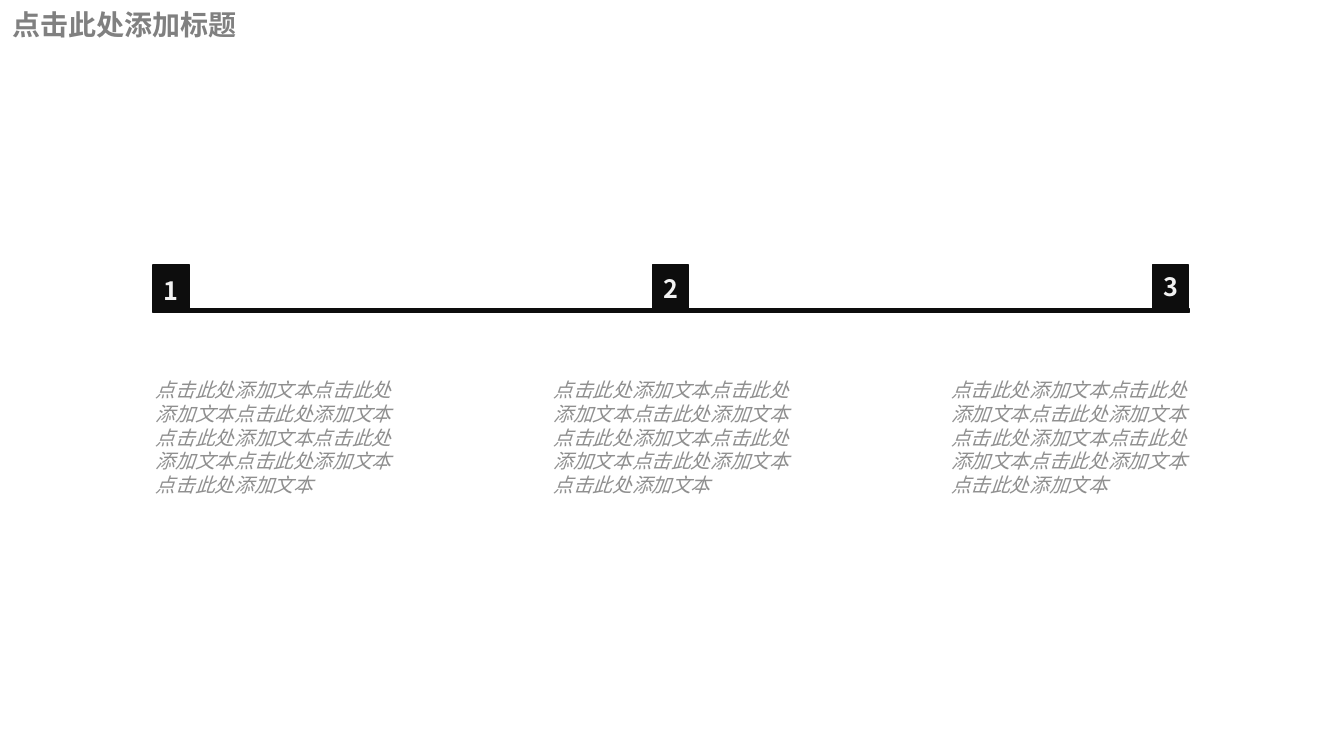
from dataclasses import dataclass

from lxml import etree
from pptx import Presentation
from pptx import util as u
from pptx.dml.color import RGBColor
from pptx.enum import shapes, text
from pptx.oxml import ns


@dataclass(frozen=True)
class Theme:
    font: str = "Noto Sans CJK SC"
    bar: str = "0D0D0D"
    number: str = "F2F2F2"
    body: str = "8F8F8F"
    title: str = "808080"
    number_size: int = 18
    body_size: int = 14
    title_size: int = 20
    leading: float = 1.21


class Deck:
    def __init__(self, theme, width, height):
        self.theme = theme
        self.prs = Presentation()
        self.prs.slide_width, self.prs.slide_height = u.Cm(width), u.Cm(height)
        self.s = self.prs.slides.add_slide(self.prs.slide_layouts[5])

    def set_text(self, sp, content, color, size, **style):
        tf = sp.text_frame
        frame = {"word_wrap": True, "vertical_anchor": text.MSO_ANCHOR.TOP,
                 "auto_size": text.MSO_AUTO_SIZE.NONE}
        for name, value in frame.items():
            setattr(tf, name, value)
        p = tf.paragraphs[0]
        spacing = {"alignment": text.PP_ALIGN.LEFT,
                   "line_spacing": u.Pt(size * self.theme.leading),
                   "space_before": u.Pt(0)}
        for name, value in spacing.items():
            setattr(p, name, value)
        r = p.add_run()
        r.text = content
        for name, value in {"name": self.theme.font, "size": u.Pt(size), **style}.items():
            setattr(r.font, name, value)
        r.font.color.rgb = RGBColor.from_string(color)
        ea = etree.SubElement(r.font._element, ns.qn("a:ea"))
        ea.set("typeface", self.theme.font)

    def title(self, content, *box):
        sp = self.s.shapes.title
        for name, value in zip(("left", "top", "width", "height"), box):
            setattr(sp, name, u.Cm(value))
        self.set_text(sp, content, self.theme.title, self.theme.title_size, bold=True)

    def block(self, *box, weight=1):
        sp = self.s.shapes.add_shape(shapes.MSO_SHAPE.RECTANGLE, *map(u.Cm, box))
        sp.shadow.inherit = False
        color = RGBColor.from_string(self.theme.bar)
        sp.fill.solid()
        sp.fill.fore_color.rgb = color
        sp.line.color.rgb = color
        sp.line.width = u.Pt(weight)
        return sp

    def number(self, content, *box):
        sp = self.block(*box, weight=0.75)
        self.set_text(sp, content, self.theme.number, self.theme.number_size, bold=True)

    def body(self, content, *box):
        sp = self.s.shapes.add_textbox(*map(u.Cm, box))
        self.set_text(sp, content, self.theme.body, self.theme.body_size, italic=True)


def main():
    deck = Deck(Theme(), 33.87, 19.05)
    deck.title("点击此处添加标题", 0.05, 0.05, 11.28, 1.12)
    left, marker_pitch, text_pitch = 3.86, 12.59, 10.02
    deck.block(left, 7.77, 26.11, 0.1)
    for i in range(3):
        x = left + i * marker_pitch
        deck.block(x, 6.68, 0.91, 1.14)
        deck.number(str(i + 1), x + 0.02, 6.81 - i * 0.05, 0.89, 1.02)
        deck.body("点击此处添加文本" * 7, 3.68 + i * text_pitch, 9.4, 6.76, 3.25)
    deck.prs.save("out.pptx")


if __name__ == "__main__":
    main()
